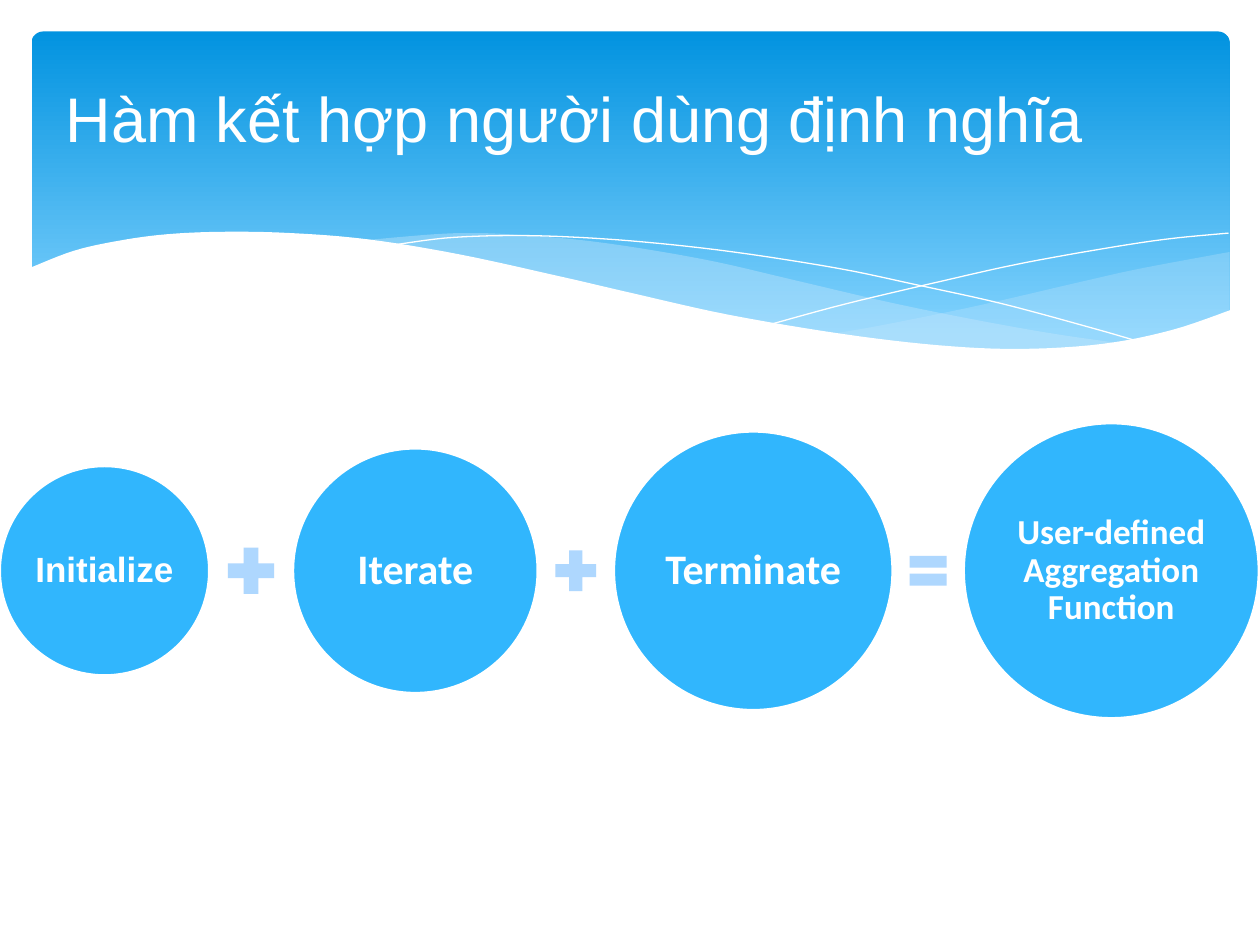
from lxml.etree import SubElement
from pptx import Presentation
from pptx.dml.color import RGBColor as Rgb
from pptx.enum.shapes import MSO_SHAPE as Shape
from pptx.enum.text import MSO_ANCHOR as Anchor, MSO_AUTO_SIZE as AutoSize, PP_ALIGN as Align
from pptx.oxml.ns import qn
from pptx.util import Inches, Pt

COLORS = {
    "white": "FFFFFF",
    "banner_top": "0293E0",
    "banner_bottom": "83D3FE",
    "wave": "C6E7FC",
    "circle": "31B6FD",
    "operator": "AED7FE",
}

# Grid of 100 columns by 75 rows with square cells
WIDTH, HEIGHT = Inches(10), Inches(7.5)
CELL = WIDTH / 100

# Wave edges, in cells from the banner's top left corner
RIGHT_WAVE = [
    [(95.1, 17.5), (88.1, 18.8), (83.6, 19.8), (75.4, 21.7), (68.1, 23.2), (63.6, 24)],
    [(63.6, 24), (69.4, 24.7), (74.4, 25.2), (78.9, 25.3), (83.8, 25), (88, 24.4),
     (91.7, 23.4), (95.1, 22.2)],
]
MIDDLE_WAVE = [
    [(86.8, 24.8), (81.2, 24), (75, 22.9), (68.1, 21.5), (60.4, 19.7), (54.4, 18.3),
     (48.9, 17.3), (44, 16.6), (39.5, 16.2), (35.5, 16), (31.9, 16.1), (26.1, 16.6)],
    [(26.1, 16.6), (31.7, 17.4), (37.9, 18.6), (42.4, 19.7), (50.5, 21.5), (57.6, 23),
     (64, 24.1), (69.7, 24.9), (74.8, 25.2), (79.3, 25.3), (83.2, 25.2), (86.8, 24.8)],
]
FALLING_LINE = [(28.4, 17), (32.8, 16.4), (37.6, 16.2), (42.5, 16.3), (48.5, 16.7),
                (55.7, 17.5), (64, 18.8), (70.2, 20.1), (77, 21.6), (84.4, 23.6), (88.2, 24.7)]
RISING_LINE = [(58.8, 23.2), (64.7, 21.6), (72.3, 19.8), (78.1, 18.5), (84.1, 17.4),
               (89.9, 16.5), (95, 16)]
FRONT_WAVE = [
    [(95.2, 22.1), (90.5, 23.7), (85, 24.8), (78.4, 25.2), (71.9, 24.9), (64.3, 24),
     (55.4, 22.5), (47.8, 20.8), (42.2, 19.5), (34, 17.7), (26.7, 16.5), (20.5, 16),
     (15.2, 15.9), (10.7, 16.1), (7, 16.6), (3.4, 17.4), (-0.2, 18.8)],
    [(-0.2, 30.4), (95.2, 30.4)],
]


def cells(*values):
    return [round(value * CELL) for value in values]


def color(name):
    return Rgb.from_string(COLORS[name])


def paint(shape, fill, alpha=None):
    shape.shadow.inherit = False
    shape.line.fill.background()
    shape.fill.solid()
    shape.fill.fore_color.rgb = color(fill)
    if alpha:
        tone = shape.fill._xPr.find(f".//{qn('a:srgbClr')}")
        SubElement(tone, qn("a:alpha")).set("val", str(alpha * 1000))


def write(frame, text, font, size, align, bold=False):
    para = frame.paragraphs[0]
    para.alignment, para.line_spacing = align, 0.9
    span = para.add_run()
    span.text = text
    span.font.name, span.font.size, span.font.bold = font, Pt(size), bold
    span.font.color.rgb = color("white")


def smooth(knots, steps=6):
    """Points of a Catmull-Rom curve through the knots."""
    if len(knots) < 3:
        return knots
    ends = [knots[0], *knots, knots[-1]]
    points = []
    for a, b, c, d in zip(ends, ends[1:], ends[2:], ends[3:]):
        for t in (step / steps for step in range(steps)):
            points.append(tuple(
                q + t / 2 * (r - p + t * (2 * p - 5 * q + 4 * r - s + t * (3 * q - p - 3 * r + s)))
                for p, q, r, s in zip(a, b, c, d)))
    return points + [knots[-1]]


def add_outline(page, box, edges, close):
    left, top = box[:2]
    points = [cells(left + x, top + y) for edge in edges for x, y in smooth(edge)]
    builder = page.shapes.build_freeform(*points[0])
    builder.add_line_segments(points[1:], close=close)
    return builder.convert_to_shape()


def add_wave(page, box, edges, fill, alpha=None):
    paint(add_outline(page, box, edges, True), fill, alpha)


def add_wave_line(page, box, knots):
    line = add_outline(page, box, [knots], False)
    line.shadow.inherit = False
    line.fill.background()
    line.line.color.rgb = color("white")
    line.line.width = Pt(0)


def add_banner(page, box):
    # Gradient panel
    panel = page.shapes.add_shape(Shape.ROUNDED_RECTANGLE, *cells(*box))
    panel.adjustments[0] = 0.034
    panel.shadow.inherit = False
    panel.line.fill.background()
    panel.fill.gradient()
    panel.fill.gradient_angle = 270
    for stop, name, position in zip(panel.fill.gradient_stops,
                                    ("banner_top", "banner_bottom"), (0, 0.9)):
        stop.color.rgb, stop.position = color(name), position
    # Waves, the last one cutting the panel's lower edge
    add_wave(page, box, RIGHT_WAVE, "wave", 29)
    add_wave(page, box, MIDDLE_WAVE, "wave", 40)
    add_wave_line(page, box, FALLING_LINE)
    add_wave_line(page, box, RISING_LINE)
    add_wave(page, box, FRONT_WAVE, "white")


def add_title(page, box, text):
    title = page.shapes.title
    title.left, title.top, title.width, title.height = cells(*box)
    frame = title.text_frame
    frame.word_wrap, frame.auto_size = False, AutoSize.NONE
    frame.vertical_anchor = Anchor.TOP
    write(frame, text, "Arial", 36, Align.LEFT)
    page.shapes._spTree.append(title._element)  # in front of the banner


def add_circle(page, place, text, font, size):
    circle = page.shapes.add_shape(Shape.OVAL, *place)
    paint(circle, "circle")
    circle.line.color.rgb, circle.line.width = color("white"), Pt(1.25)
    frame = circle.text_frame
    frame.word_wrap, frame.vertical_anchor = True, Anchor.MIDDLE
    frame.margin_left = frame.margin_right = Inches(0.03)
    frame.margin_top = frame.margin_bottom = Inches(0.03)
    write(frame, text, font, size, Align.CENTER, bold=True)


def add_equation(page, box, parts):
    """Circles and operators in a row, centred on one axis with equal gaps."""
    left, top, width, height = box
    gap = (width - sum(size for size, *_ in parts)) / (len(parts) - 1)
    for size, kind, *label in parts:
        place = cells(left, top + (height - size) / 2, size, size)
        if label:
            add_circle(page, place, *label)
        else:
            paint(page.shapes.add_shape(kind, *place), "operator")
        left += size + gap


def main():
    deck = Presentation()
    deck.slide_width, deck.slide_height = WIDTH, HEIGHT
    page = deck.slides.add_slide(deck.slide_layouts[5])
    add_banner(page, (2.5, 2.5, 95.1, 27))
    add_title(page, (4.2, 6.5, 83.6, 6.5), "Hàm kết hợp người dùng định nghĩa")
    add_equation(page, (0, 33.6, 99.9, 23.4), [
        (16.6, Shape.OVAL, "Initialize", "Arial", 20),
        (5, Shape.MATH_PLUS),
        (19.4, Shape.OVAL, "Iterate", "Calibri", 24),
        (4.4, Shape.MATH_PLUS),
        (22.1, Shape.OVAL, "Terminate", "Calibri", 24),
        (4, Shape.MATH_EQUAL),
        (23.4, Shape.OVAL, "User-defined Aggregation Function", "Calibri", 20),
    ])
    deck.save("out.pptx")


if __name__ == "__main__":
    main()
